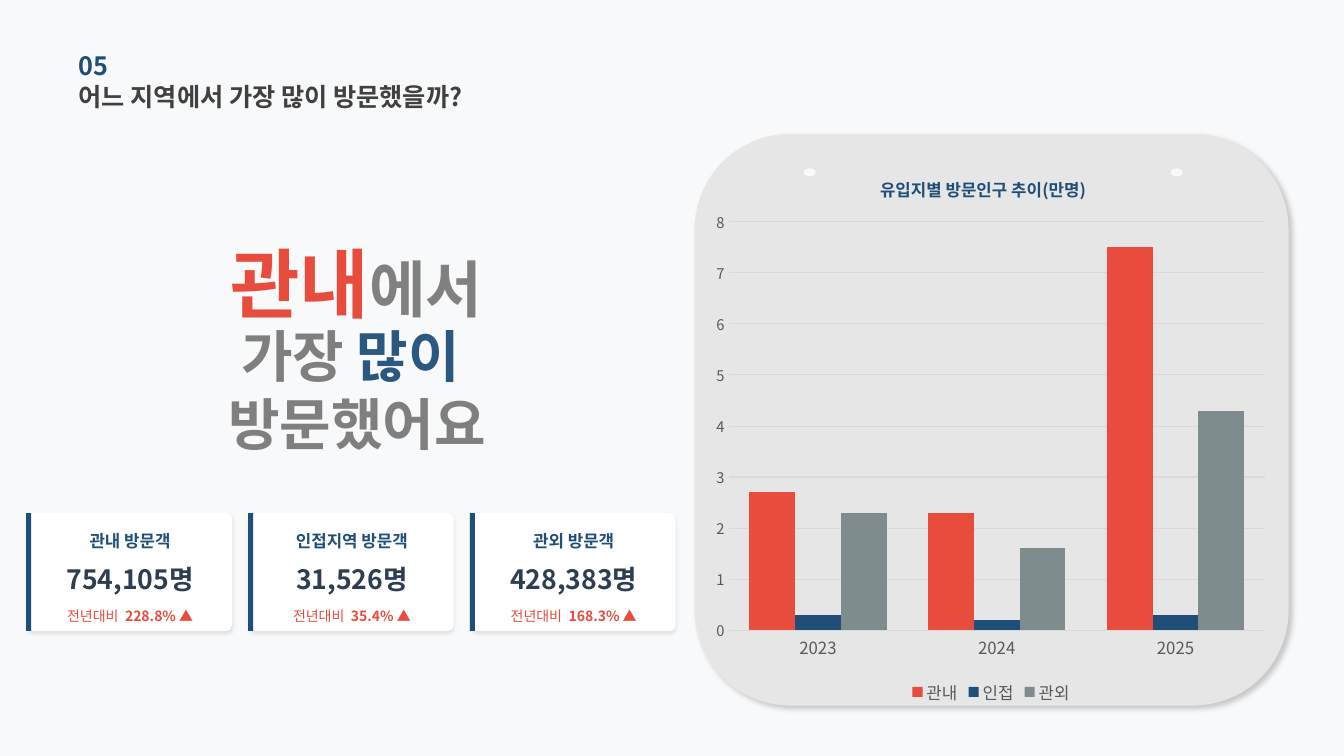
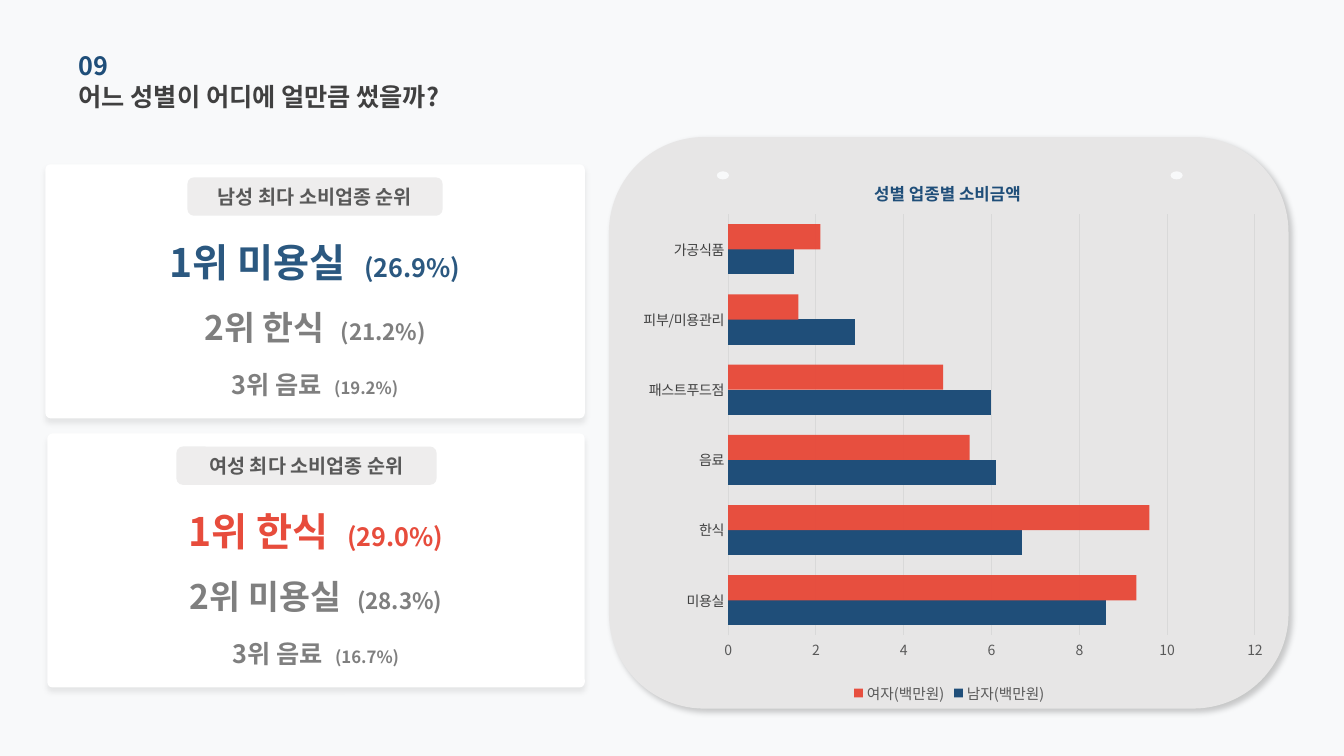
from lxml import etree
from pptx import Presentation
from pptx.chart.data import CategoryChartData
from pptx.dml.color import RGBColor
from pptx.enum.chart import XL_CHART_TYPE, XL_LEGEND_POSITION, XL_TICK_MARK
from pptx.enum.shapes import MSO_SHAPE
from pptx.enum.text import MSO_ANCHOR, MSO_AUTO_SIZE, PP_ALIGN
from pptx.oxml.ns import qn
from pptx.util import Inches, Pt

COLUMN, BAR = XL_CHART_TYPE.COLUMN_CLUSTERED, XL_CHART_TYPE.BAR_CLUSTERED
BOTTOM, NO_TICK = XL_LEGEND_POSITION.BOTTOM, XL_TICK_MARK.NONE
RECTANGLE, ROUNDED, OVAL = MSO_SHAPE.RECTANGLE, MSO_SHAPE.ROUNDED_RECTANGLE, MSO_SHAPE.OVAL
MIDDLE, LEFT, CENTER = MSO_ANCHOR.MIDDLE, PP_ALIGN.LEFT, PP_ALIGN.CENTER

FONT = "Noto Sans CJK KR"
BACKGROUND, BOARD, WHITE = "F8F9FA", "E7E6E6", "FFFFFF"
NAVY, BLUE, RED, INK = "1F4E79", "2B5880", "E74C3C", "2C3E50"
DARK, TEXT_GRAY, MUTED, GRID = "404040", "595959", "7F7F7F", "D9D9D9"
BOARD_SHADOW, CARD_SHADOW, PANEL_SHADOW = (20, 4, 3, 45), (10, 3, 2, 90), (8, 4, 3, 90)

HEADLINE = [
    ((1.39, 2.56, 4.29, 0.48), [[("관내", 54, RED, True), ("에서", 44, "808080", True)]]),
    ((0.78, 3.44, 5.52, 0.84), [
        [("가장", 40, MUTED, True), (" 많이 ", 40, BLUE, True)],
        [("방문했어요", 40, MUTED, True)],
    ]),
]
VISITOR_CARDS = [
    ("관내 방문객", "754,105명", "228.8% ▲"),
    ("인접지역 방문객", "31,526명", "35.4% ▲"),
    ("관외 방문객", "428,383명", "168.3% ▲"),
]
VISITOR_CHART = {
    "kind": COLUMN, "box": (7, 1.48, 5.66, 5.55),
    "title": "유입지별 방문인구 추이(만명)", "title_at": (0.3, 0.04),
    "plot": (0.04, 0.13, 0.94, 0.73),
    "categories": ["2023", "2024", "2025"],
    "series": [
        ("관내", [2.7, 2.3, 7.5], RED, 100),
        ("인접", [0.3, 0.2, 0.3], NAVY, 100),
        ("관외", [2.3, 1.6, 4.3], "7F8C8D", 100),
    ],
    "gap": 90, "maximum": 8, "step": 1,
    "category_font": (12, TEXT_GRAY), "value_size": 10.5, "legend_size": 12,
}
RANK_SIZES = [(28, 18), (24, 16), (18, 12)]
RANK_ROWS = [(0.73, 0.48), (1.19, 0.84), (1.76, 0.84)]
RANK_PANELS = [
    {"left": 0.45, "badge": (1.86, 2.53), "title": "남성 최다 소비업종 순위", "color": BLUE,
     "ranks": [("1위 미용실", "(26.9%)"), ("2위 한식", "(21.2%)"), ("3위 음료", "(19.2%)")]},
    {"left": 0.47, "badge": (1.75, 2.58), "title": "여성 최다 소비업종 순위", "color": RED,
     "ranks": [("1위 한식", "(29.0%)"), ("2위 미용실", "(28.3%)"), ("3위 음료", "(16.7%)")]},
]
SPENDING_CHART = {
    "kind": BAR, "box": (6.19, 1.52, 6.45, 5.5),
    "title": "성별 업종별 소비금액", "title_at": (0.38, 0.04),
    "plot": (0.16, 0.11, 0.81, 0.76),
    "categories": ["미용실", "한식", "음료", "패스트푸드점", "피부/미용관리", "가공식품"],
    "series": [
        ("남자(백만원)", [8.6, 6.7, 6.1, 6, 2.9, 1.5], NAVY, 100),
        ("여자(백만원)", [9.3, 9.6, 5.5, 4.9, 1.6, 2.1], RED, 98),
    ],
    "gap": 80, "maximum": 12, "step": 2,
    "category_font": (10, DARK), "value_size": 10, "legend_size": 10.5,
}


def rgb(color):
    return RGBColor.from_string(color)


def add_xml(parent, tag, **attributes):
    return etree.SubElement(parent, qn(tag), {key: str(value) for key, value in attributes.items()})


def style_font(font, size, color, bold=False):
    font.size, font.bold, font.name = Pt(size), bold, FONT
    font.color.rgb = rgb(color)
    add_xml(font._rPr, "a:ea", typeface=FONT)


def paint(fill, color, opacity=100):
    fill.solid()
    fill.fore_color.rgb = rgb(color)
    if opacity < 100:
        add_xml(fill._xPr.find(".//" + qn("a:srgbClr")), "a:alpha", val=opacity * 1000)


def write(shape, lines, align=CENTER):
    frame = shape.text_frame
    frame.word_wrap, frame.auto_size = True, MSO_AUTO_SIZE.NONE
    frame.vertical_anchor = MIDDLE
    frame.margin_left = frame.margin_right = frame.margin_top = frame.margin_bottom = 0
    for index, pieces in enumerate(lines):
        paragraph = frame.add_paragraph() if index else frame.paragraphs[0]
        paragraph.alignment = align
        for text, size, color, bold in pieces:
            run = paragraph.add_run()
            run.text = text
            style_font(run.font, size, color, bold)
            if text == " ":
                run.font._rPr.set("spc", str(size * 25))


def add_text(slide, box, lines, align=CENTER):
    write(slide.shapes.add_textbox(*map(Inches, box)), lines, align)


def add_block(slide, preset, box, color, corner=None, shadow=None, opacity=100):
    shape = slide.shapes.add_shape(preset, *map(Inches, box))
    paint(shape.fill, color, opacity)
    shape.line.fill.background()
    shape.shadow.inherit = False
    if corner is not None:
        shape.adjustments[0] = corner
    if shadow:
        strength, blur, distance, angle = shadow
        effects = shape._element.spPr.find(qn("a:effectLst"))
        outer = add_xml(effects, "a:outerShdw", blurRad=Pt(blur), dist=Pt(distance),
                        dir=angle * 60000, algn="tl", rotWithShape=0)
        add_xml(add_xml(outer, "a:srgbClr", val="000000"), "a:alpha", val=strength * 1000)
    return shape


def add_slide(presentation, number, title, board, holes):
    slide = presentation.slides.add_slide(presentation.slide_layouts[5])
    add_block(slide, ROUNDED, board, BOARD, shadow=BOARD_SHADOW)
    heading = slide.shapes.title
    heading.left, heading.top, heading.width, heading.height = map(Inches, (0.78, 0.75, 5.28, 0.41))
    write(heading, [[(title, 18, DARK, True)]], LEFT)
    add_text(slide, (0.78, 0.44, 4.52, 0.41), [[(number, 18, NAVY, True)]], LEFT)
    for left in holes:
        add_block(slide, OVAL, (left, board[1] + 0.34, 0.12, 0.08), BACKGROUND)
    return slide


def place(element, index, values, inner=False):
    old = element.find(qn("c:layout"))
    if old is not None:
        element.remove(old)
    layout = etree.Element(qn("c:layout"))
    element.insert(index, layout)
    manual = add_xml(layout, "c:manualLayout")
    if inner:
        add_xml(manual, "c:layoutTarget", val="inner")
    for name in ("xMode", "yMode"):
        add_xml(manual, "c:" + name, val="edge")
    for name, value in zip("xywh", values):
        add_xml(manual, "c:" + name, val=value)


def add_chart(slide, content):
    data = CategoryChartData()
    data.categories = content["categories"]
    for name, values, color, opacity in content["series"]:
        data.add_series(name, values)
    chart = slide.shapes.add_chart(content["kind"], *map(Inches, content["box"]), data).chart
    style_font(chart.font, 10, "000000")

    background = etree.Element(qn("c:spPr"))
    add_xml(background, "a:noFill")
    add_xml(add_xml(background, "a:ln"), "a:noFill")
    chart._chartSpace.chart.addnext(background)

    chart.has_title = True
    title = chart.chart_title
    title.text_frame.text = content["title"]
    style_font(title.text_frame.paragraphs[0].runs[0].font, 12, NAVY, True)
    place(title._element, 1, content["title_at"])
    place(chart._chartSpace.chart.plotArea, 0, content["plot"], True)

    chart.has_legend = True
    chart.legend.position, chart.legend.include_in_layout = BOTTOM, False
    style_font(chart.legend.font, content["legend_size"], TEXT_GRAY)

    plot = chart.plots[0]
    plot.gap_width, plot.overlap, plot.vary_by_categories = content["gap"], 0, False
    for series, (name, values, color, opacity) in zip(plot.series, content["series"]):
        paint(series.format.fill, color, opacity)
        series.invert_if_negative = False

    category_axis, value_axis = chart.category_axis, chart.value_axis
    style_font(category_axis.tick_labels.font, *content["category_font"])
    style_font(value_axis.tick_labels.font, content["value_size"], TEXT_GRAY)
    for axis in (category_axis, value_axis):
        axis.major_tick_mark = axis.minor_tick_mark = NO_TICK
    value_axis.minimum_scale, value_axis.maximum_scale = 0, content["maximum"]
    value_axis.major_unit = content["step"]
    value_axis.has_major_gridlines = True
    value_axis.format.line.fill.background()
    for line in (category_axis.format.line, value_axis.major_gridlines.format.line):
        line.width = Pt(0.75)
        line.color.rgb = rgb(GRID)


def add_visitor_slide(presentation):
    slide = add_slide(presentation, "05", "어느 지역에서 가장 많이 방문했을까?",
                      (6.89, 1.33, 5.89, 5.67), (7.97, 11.61))
    for box, lines in HEADLINE:
        add_text(slide, box, lines)
    top, width, height = 5.09, 2.02, 1.17
    for index, (label, count, change) in enumerate(VISITOR_CARDS):
        left = 0.28 + index * 2.2
        add_block(slide, ROUNDED, (left, top, width, height), WHITE, 0.05, CARD_SHADOW)
        rows = [
            (0.16, 0.22, [(label, 12, NAVY, True)]),
            (0.48, 0.34, [(count, 19, INK, True)]),
            (0.92, 0.2, [("전년대비", 10, RED, False), (" ", 10, RED, False), (change, 10, RED, True)]),
        ]
        for offset, row_height, pieces in rows:
            add_text(slide, (left, top + offset, width, row_height), [pieces])
        add_block(slide, RECTANGLE, (left - 0.02, top, 0.05, height), NAVY)
    add_chart(slide, VISITOR_CHART)


def add_spending_slide(presentation):
    slide = add_slide(presentation, "09", "어느 성별이 어디에 얼만큼 썼을까?",
                      (6.04, 1.36, 6.74, 5.67), (7.11, 11.61))
    for index, panel in enumerate(RANK_PANELS):
        left, top = panel["left"], 1.63 + index * 2.67
        width = 5.8 - left
        add_block(slide, ROUNDED, (left, top, width, 2.52), WHITE, 0.02, PANEL_SHADOW)
        colors = (panel["color"], MUTED, MUTED)
        for (label, share), (size, small), (offset, height), color in zip(
                panel["ranks"], RANK_SIZES, RANK_ROWS, colors):
            pieces = [(label, size, color, True), (" ", size, color, True), (share, small, color, True)]
            add_text(slide, (left, top + offset, width, height), [pieces])
        badge_left, badge_width = panel["badge"]
        badge = add_block(slide, ROUNDED, (badge_left, top + 0.13, badge_width, 0.38),
                          "D0CECE", opacity=36)
        write(badge, [[(panel["title"], 14, TEXT_GRAY, True)]])
    add_chart(slide, SPENDING_CHART)


def main():
    presentation = Presentation()
    presentation.slide_width, presentation.slide_height = Inches(13.33), Inches(7.5)
    paint(presentation.slide_master.background.fill, BACKGROUND)
    add_visitor_slide(presentation)
    add_spending_slide(presentation)
    presentation.save("out.pptx")


if __name__ == "__main__":
    main()
